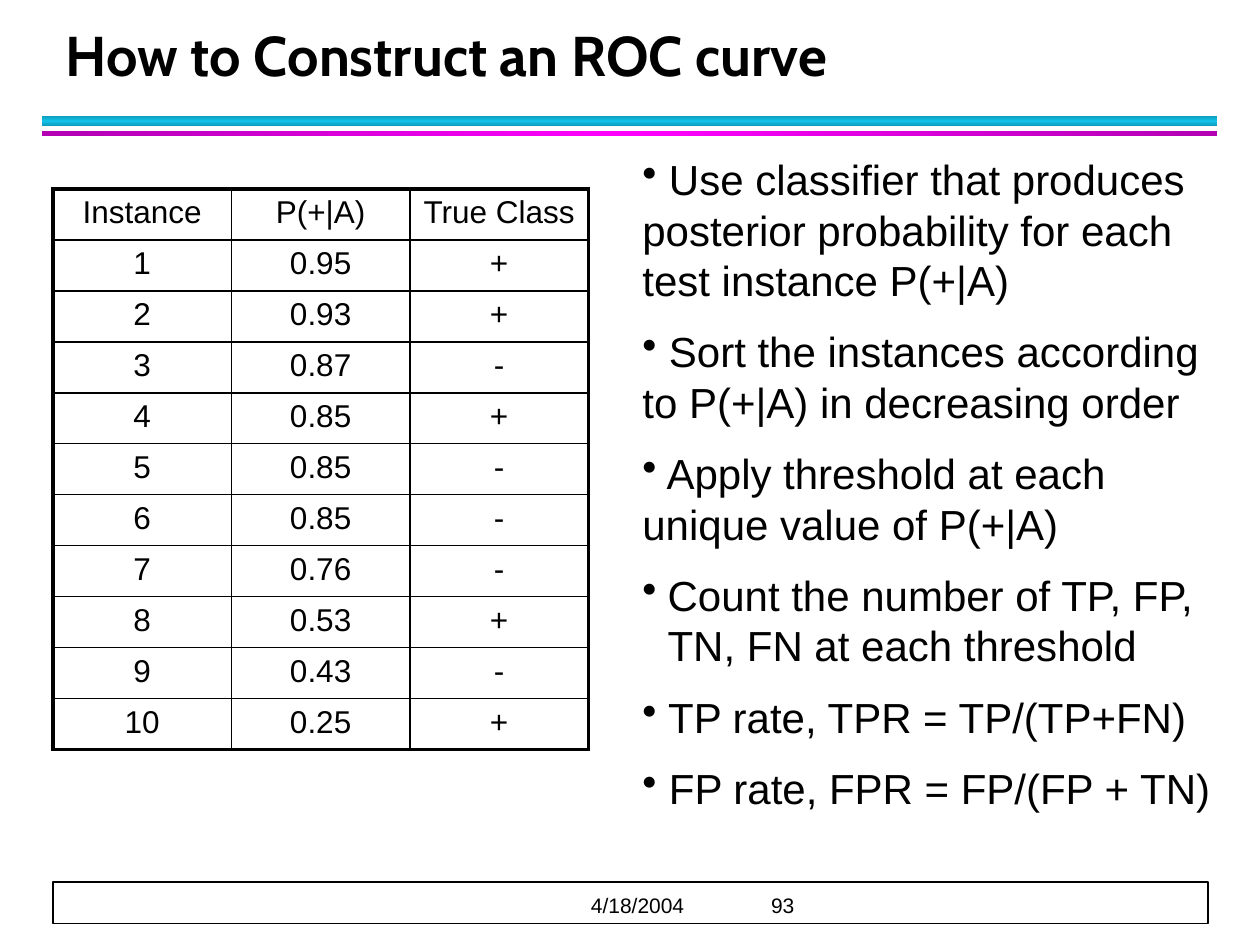
from copy import deepcopy
from dataclasses import dataclass

from lxml import etree
from pptx import Presentation
from pptx import util as u
from pptx.dml.color import RGBColor
from pptx.enum import shapes, text
from pptx.oxml import ns
from pptx.util import Inches


@dataclass(frozen=True)
class Theme:
    ink: RGBColor = RGBColor(0, 0, 0)
    paper: RGBColor = RGBColor(255, 255, 255)
    cyan_edge: RGBColor = RGBColor(0x0E, 0x9B, 0xBA)
    cyan: RGBColor = RGBColor(0x12, 0xC2, 0xE9)
    magenta_edge: RGBColor = RGBColor(0xB2, 0, 0xB2)
    magenta: RGBColor = RGBColor(255, 0, 255)
    title_font: str = "Cabin"
    body_font: str = "Arial"
    title_size: int = 32
    body_size: int = 24
    table_size: int = 18
    footer_size: int = 12
    thin: float = 1
    thick: float = 2.25


THEME = Theme()

SCORES = [
    ("Instance", "P(+|A)", "True Class"),
    ("1", "0.95", "+"),
    ("2", "0.93", "+"),
    ("3", "0.87", "-"),
    ("4", "0.85", "+"),
    ("5", "0.85", "-"),
    ("6", "0.85", "-"),
    ("7", "0.76", "-"),
    ("8", "0.53", "+"),
    ("9", "0.43", "-"),
    ("10", "0.25", "+"),
]

STEPS = [
    (" Use classifier that produces posterior probability for each test instance P(+|A)", 0),
    (" Sort the instances according to P(+|A) in decreasing order", 0),
    (" Apply threshold at each unique value of P(+|A)", 0),
    ("Count the number of TP, FP,\vTN, FN at each threshold", 0.2),
    (" TP rate, TPR = TP/(TP+FN)", 0),
    (" FP rate, FPR = FP/(FP + TN)", 0),
]


def format_runs(para, size, font=THEME.body_font, bold=False):
    for span in para.runs:
        span.font.name = font
        span.font.size = u.Pt(size)
        span.font.bold = bold
        span.font.color.rgb = THEME.ink


def add_bar(page, box, edge, middle, angle):
    bar = page.shapes.add_shape(shapes.MSO_SHAPE.RECTANGLE, *map(Inches, box))
    bar.shadow.inherit = False
    bar.line.fill.background()
    bar.fill.gradient()
    bar.fill.gradient_angle = angle
    stop_list = bar._element.spPr.find(".//" + ns.qn("a:gsLst"))
    stop_list.append(deepcopy(stop_list[0]))
    for stop, place, colour in zip(bar.fill.gradient_stops, (0, 0.5, 1), (edge, middle, edge)):
        stop.position = place
        stop.color.rgb = colour


def add_title(page, box):
    title = page.shapes.title
    title.left, title.top, title.width, title.height = map(Inches, box)
    frame = title.text_frame
    frame.text = "How to Construct an ROC curve"
    frame.auto_size = text.MSO_AUTO_SIZE.NONE
    frame.vertical_anchor = text.MSO_ANCHOR.BOTTOM
    para = frame.paragraphs[0]
    para.alignment = text.PP_ALIGN.LEFT
    para.line_spacing = 1.12
    format_runs(para, THEME.title_size, THEME.title_font, bold=True)


def set_border(cell, side, width):
    line = etree.SubElement(cell._tc.get_or_add_tcPr(), ns.qn(f"a:ln{side}"), w=str(u.Pt(width)))
    fill = etree.SubElement(line, ns.qn("a:solidFill"))
    etree.SubElement(fill, ns.qn("a:srgbClr"), val=str(THEME.ink))


def add_score_table(page, box):
    left, top, width, height = map(Inches, box)
    row_count, column_count = len(SCORES), len(SCORES[0])
    table = page.shapes.add_table(row_count, column_count, left, top, width, height).table
    table.first_row = False
    table.horz_banding = False
    for r, values in enumerate(SCORES):
        for c, value in enumerate(values):
            cell = table.cell(r, c)
            cell.text = value
            para = cell.text_frame.paragraphs[0]
            para.alignment = text.PP_ALIGN.CENTER
            format_runs(para, THEME.table_size)
            outer = {"L": c == 0, "R": c == column_count - 1, "T": r == 0, "B": r == row_count - 1}
            for side, is_outer in outer.items():
                set_border(cell, side, THEME.thick if is_outer else THEME.thin)
            cell.fill.background()


def add_bullet(para, hanging):
    props = para._p.get_or_add_pPr()
    props.set("marL", str(Inches(hanging)))
    props.set("indent", str(-Inches(hanging or 0.17)))
    etree.SubElement(props, ns.qn("a:buChar"), char="•")


def add_steps(page, box):
    frame = page.shapes.add_textbox(*map(Inches, box)).text_frame
    frame.word_wrap = True
    for i, (step, hanging) in enumerate(STEPS):
        para = frame.add_paragraph() if i else frame.paragraphs[0]
        para.text = step
        para.space_before = u.Pt(12 if i else 0)
        add_bullet(para, hanging)
        format_runs(para, THEME.body_size)


def add_footer(page, box):
    left, top, width, height = box
    strip = page.shapes.add_shape(shapes.MSO_SHAPE.RECTANGLE, *map(Inches, box))
    strip.shadow.inherit = False
    strip.fill.solid()
    strip.fill.fore_color.rgb = THEME.paper
    strip.line.color.rgb = THEME.ink
    strip.line.width = u.Pt(THEME.thin)

    label = page.shapes.add_textbox(*map(Inches, (left, top + 0.03, width, 0.25)))
    frame = label.text_frame
    frame.word_wrap = True
    frame.vertical_anchor = text.MSO_ANCHOR.BOTTOM
    frame.margin_left = frame.margin_right = frame.margin_top = frame.margin_bottom = 0
    para = frame.paragraphs[0]
    para.text = "\t4/18/2004\t93"
    tabs = etree.SubElement(para._p.get_or_add_pPr(), ns.qn("a:tabLst"))
    for stop in (4.27, 5.7):
        etree.SubElement(tabs, ns.qn("a:tab"), pos=str(Inches(stop)), algn="l")
    format_runs(para, THEME.footer_size)


def main():
    deck = Presentation()
    deck.slide_width, deck.slide_height = Inches(10), Inches(7.5)
    page = deck.slides.add_slide(deck.slide_layouts[5])
    add_bar(page, (0.33, 0.92, 9.33, 0.08), THEME.cyan_edge, THEME.cyan, 90)
    add_bar(page, (0.33, 1.04, 9.33, 0.04), THEME.magenta_edge, THEME.magenta, 0)
    add_footer(page, (0.42, 7, 9.17, 0.33))
    add_title(page, (0.42, 0.17, 9.06, 0.58))
    add_score_table(page, (0.42, 1.5, 4.25, 4.45))
    add_steps(page, (5, 1.17, 4.75, 5.49))
    deck.save("out.pptx")


if __name__ == "__main__":
    main()
